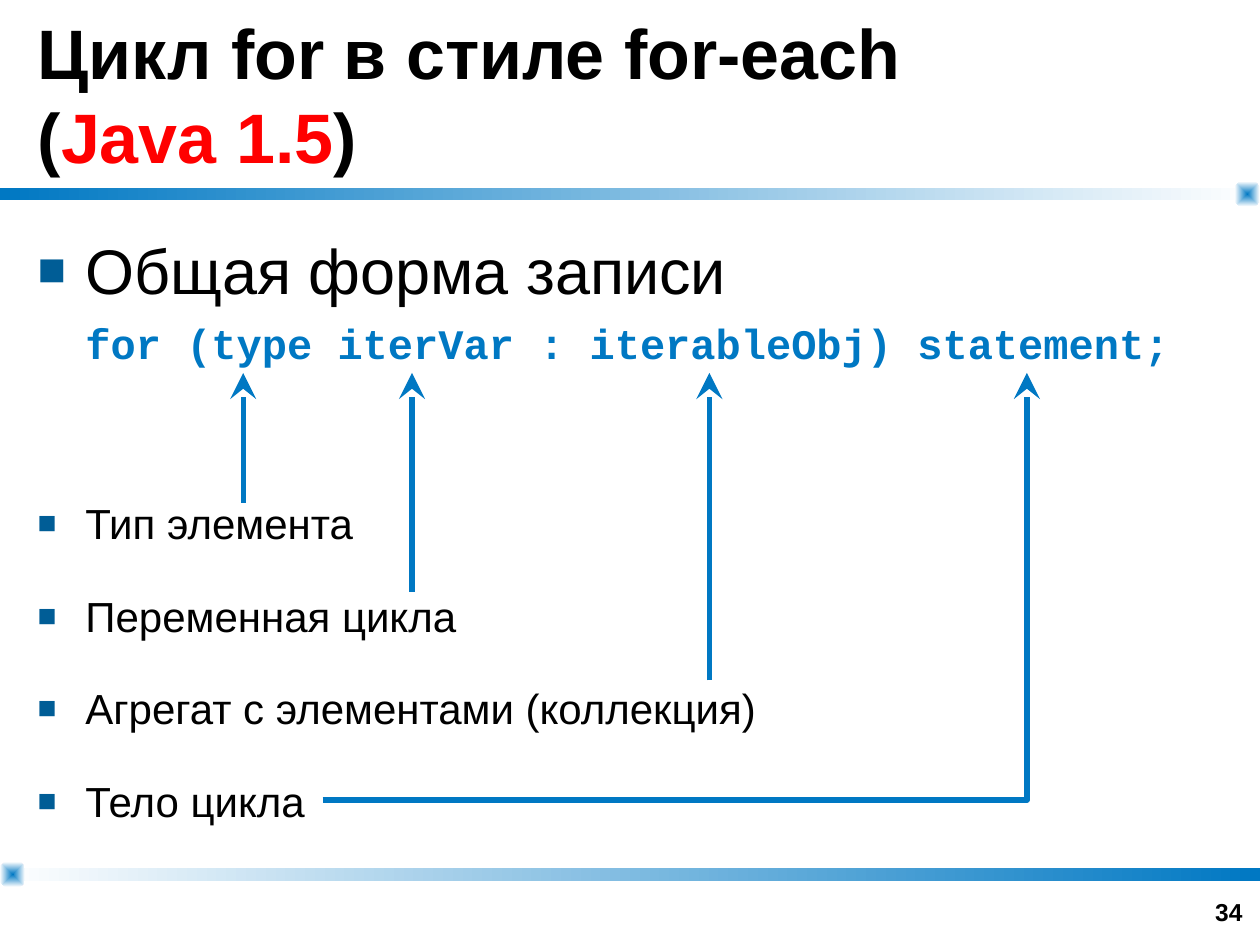
from lxml import etree
from pptx import Presentation
from pptx.dml.color import RGBColor
from pptx.enum.shapes import MSO_CONNECTOR as Connector, MSO_SHAPE as Shape
from pptx.enum.text import MSO_ANCHOR as Anchor, MSO_AUTO_SIZE as AutoSize, PP_ALIGN as Align
from pptx.oxml.ns import qn
from pptx.util import Inches, Pt

BLACK = RGBColor(0x00, 0x00, 0x00)
WHITE = RGBColor(0xFF, 0xFF, 0xFF)
RED = RGBColor(0xFF, 0x00, 0x00)
BLUE = RGBColor(0x00, 0x78, 0xC3)
BULLET_BLUE = RGBColor(0x00, 0x5D, 0x96)
COLUMNS, ROWS = 100, 75
HANGING = Inches(0.38)


class SlideBuilder:
    """Draws styled elements on a slide laid out as a 100 by 75 grid."""

    def __init__(self, deck):
        self.cell_width = deck.slide_width / COLUMNS
        self.cell_height = deck.slide_height / ROWS
        self.slide = deck.slides.add_slide(deck.slide_layouts[5])
        self.shapes = self.slide.shapes

    def point(self, column, row):
        return round(column * self.cell_width), round(row * self.cell_height)

    def frame(self, column, row, width, height):
        return *self.point(column, row), *self.point(width, height)

    def style(self, span, size, color=BLACK, bold=False, font="Arial"):
        span.font.name, span.font.size = font, Pt(size)
        span.font.bold, span.font.color.rgb = bold, color

    def gradient(self, kind, area, start, end):
        shape = self.shapes.add_shape(kind, *self.frame(*area))
        shape.shadow.inherit = False
        shape.line.fill.background()
        shape.fill.gradient()
        shape.fill.gradient_angle = 0
        for stop, color in zip(shape.fill.gradient_stops, (start, end)):
            stop.color.rgb = color
        return shape

    def bar(self, row, start, end):
        self.gradient(Shape.RECTANGLE, (0, row, COLUMNS, 1), start, end)

    def knob(self, column, row):
        shape = self.gradient(Shape.ROUNDED_RECTANGLE, (column, row, 2, 2), BLUE, WHITE)
        shape.adjustments[0] = 0.32
        linear = next(shape.element.iter(qn("a:lin")))
        radial = etree.Element(qn("a:path"), path="rect")
        etree.SubElement(radial, qn("a:fillToRect"), l="50000", t="50000", r="50000", b="50000")
        linear.getparent().replace(linear, radial)

    def title(self, area, lines):
        box = self.shapes.title
        box.left, box.top, box.width, box.height = self.frame(*area)
        text = box.text_frame
        text.auto_size, text.vertical_anchor = AutoSize.NONE, Anchor.MIDDLE
        para = text.paragraphs[0]
        para.alignment = Align.LEFT
        for index, line in enumerate(lines):
            if index:
                para.add_line_break()
            for words, color in line:
                span = para.add_run()
                span.text = words
                self.style(span, 40, color, True)

    def text_box(self, area):
        text = self.shapes.add_textbox(*self.frame(*area)).text_frame
        text.word_wrap = True
        return text

    def paragraph(self, text, words, size, space, bullet=True, **look):
        para = text.paragraphs[0] if not text.text else text.add_paragraph()
        para.text, para.space_before = words, Pt(space)
        self.style(para.runs[0], size, **look)
        properties = para._p.get_or_add_pPr()
        properties.set("marL", str(HANGING))
        properties.set("indent", str(-HANGING if bullet else 0))
        if bullet:
            color = etree.SubElement(properties, qn("a:buClr"))
            etree.SubElement(color, qn("a:srgbClr"), val=str(BULLET_BLUE))
            etree.SubElement(properties, qn("a:buSzPct"), val="75000")
            etree.SubElement(properties, qn("a:buFont"), typeface="Arial")
            etree.SubElement(properties, qn("a:buChar"), char="■")

    def page_number(self, area, number):
        text = self.text_box(area)
        text.vertical_anchor = Anchor.BOTTOM
        para = text.paragraphs[0]
        para.text, para.alignment = number, Align.RIGHT
        self.style(para.runs[0], 14, bold=True)

    def arrowhead(self, shape):
        shape.line.color.rgb, shape.line.width = BLUE, Pt(3)
        etree.SubElement(shape.line._get_or_add_ln(), qn("a:tailEnd"), type="stealth", w="lg", len="lg")

    def arrow(self, column, bottom, top):
        line = self.shapes.add_connector(
            Connector.STRAIGHT, *self.point(column, bottom), *self.point(column, top))
        self.arrowhead(line)
        etree.SubElement(line.element.spPr, qn("a:effectLst"))

    def bent_arrow(self, start, *corners):
        builder = self.shapes.build_freeform(*self.point(*start))
        builder.add_line_segments([self.point(*corner) for corner in corners], close=False)
        shape = builder.convert_to_shape()
        shape.fill.background()
        self.arrowhead(shape)
        shape.shadow.inherit = False


def main():
    deck = Presentation()
    deck.slide_width, deck.slide_height = Inches(10), Inches(7.5)
    page = SlideBuilder(deck)

    page.bar(14.9, BLUE, WHITE)
    page.bar(68.9, WHITE, BLUE)
    page.knob(98, 14.4)
    page.knob(0, 68.4)
    page.page_number((76.3, 69, 23.3, 5), "34")
    page.title((2, 0, 96, 14.9), [
        [("Цикл for в стиле for-each", BLACK)],
        [("(", BLACK), ("Java 1.5", RED), (")", BLACK)],
    ])

    body = page.text_box((2, 17.9, 96, 49))
    page.paragraph(body, "Общая форма записи", 36, 9)
    page.paragraph(body, "for (type iterVar : iterableObj) statement;", 24, 6,
                   bullet=False, color=BLUE, bold=True, font="Courier New")
    parts = ["Тип элемента", "Переменная цикла", "Агрегат с элементами (коллекция)", "Тело цикла"]
    for index, part in enumerate(parts):
        page.paragraph(body, part, 24, 24 if index else 74)

    tip = 29.6
    for index, column in enumerate((19.3, 32.7, 56.3)):
        page.arrow(column, 39.9 + 7.05 * index, tip)
    page.bent_arrow((25.6, 63.5), (81.5, 63.5), (81.5, tip))

    deck.save("out.pptx")


if __name__ == "__main__":
    main()
